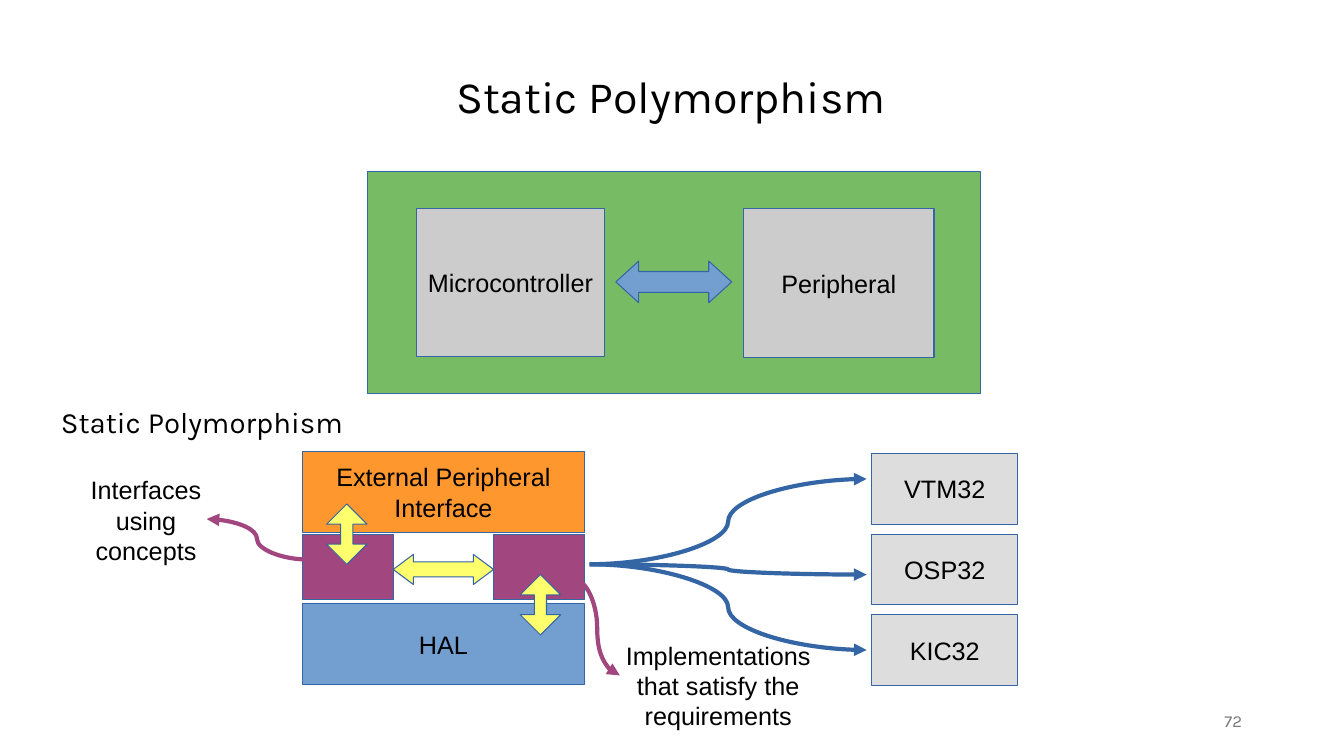
import pptx
import pptx.dml.color
import pptx.enum.shapes
import pptx.enum.text
import pptx.oxml
import pptx.oxml.ns
import pptx.util

Cm, Pt = pptx.util.Cm, pptx.util.Pt
SHAPE = pptx.enum.shapes.MSO_SHAPE
ALIGN = pptx.enum.text.PP_ALIGN
MIDDLE = pptx.enum.text.MSO_ANCHOR.MIDDLE
OUTLINE, PURPLE, YELLOW, BLUE = "3465A4", "A1467E", "FFFF6D", "729FCF"


def rgb(value):
    return pptx.dml.color.RGBColor.from_string(value)


def write(shape, text, size=18, font="Arial", color="000000", align=ALIGN.CENTER, spacing=None):
    tf = shape.text_frame
    tf.word_wrap = True
    p = tf.paragraphs[0]
    p.alignment = align
    p.line_spacing = spacing
    r = p.add_run()
    r.text = text
    for name, value in {"size": Pt(size), "name": font}.items():
        setattr(r.font, name, value)
    r.font.color.rgb = rgb(color)


def add_label(s, box, text, **style):
    label = s.shapes.add_textbox(*map(Cm, box))
    write(label, text, **style)
    return label


def add_block(s, box, fill, text="", kind=SHAPE.RECTANGLE):
    block = s.shapes.add_shape(kind, *map(Cm, box))
    block.shadow.inherit = False
    block.fill.solid()
    block.fill.fore_color.rgb = rgb(fill)
    block.line.color.rgb = rgb(OUTLINE)
    block.line.width = Pt(0)
    if text:
        block.text_frame.vertical_anchor = MIDDLE
        write(block, text)
    return block


def add_double_arrow(s, box, fill, head):
    """Add a two-headed arrow along the longer side; head is relative to the shorter one."""
    kind = SHAPE.LEFT_RIGHT_ARROW if box[2] > box[3] else SHAPE.UP_DOWN_ARROW
    arrow = add_block(s, box, fill, kind=kind)
    arrow.adjustments[0] = 0.5
    arrow.adjustments[1] = head


def add_curve(s, start, end, color):
    curve = s.shapes.add_connector(
        pptx.enum.shapes.MSO_CONNECTOR.CURVE, *map(Cm, start + end))
    curve.line.color.rgb = rgb(color)
    curve.line.width = Pt(3)
    tail = pptx.oxml.parse_xml(
        f'<a:tailEnd {pptx.oxml.ns.nsdecls("a")} type="triangle"/>')
    curve.line._get_or_add_ln().append(tail)
    curve._element.spPr.append(
        pptx.oxml.parse_xml(f'<a:effectLst {pptx.oxml.ns.nsdecls("a")}/>'))


def draw_board(s, x, y, w, h):
    add_block(s, (x, y, w, h), "77BC65")
    add_block(s, (x + 1.22, y + 0.94, 4.75, 3.73), "CCCCCC", "Microcontroller")
    add_block(s, (x + 9.47, y + 0.94, 4.8, 3.76), "CCCCCC", "Peripheral")
    add_double_arrow(s, (x + 6.25, y + 2.26, 2.92, 1.05), BLUE, 0.55)


def draw_stack(s, x, y, w, h):
    """Draw the two software layers with the interface blocks between them."""
    layer_h, block_w, block_h = 2.03, 2.29, 1.65
    for left in (x, x + w - block_w):
        add_block(s, (left, y + 2.08, block_w, block_h), PURPLE)
    add_block(s, (x, y + h - layer_h, w, layer_h), BLUE, "HAL")
    add_block(s, (x, y, w, layer_h), "FF972F", "External Peripheral Interface")
    for dx, dy in ((0.61, 1.32), (5.49, 3.1)):
        add_double_arrow(s, (x + dx, y + dy, 1.02, 1.52), YELLOW, 0.3)
    add_double_arrow(s, (x + block_w, y + 2.59, w - 2 * block_w, 0.76), YELLOW, 0.67)


def draw_targets(s, x, y, w, h):
    """Draw the column of chips and the curves that lead to them."""
    chips = (("VTM32", 0.64), ("OSP32", 3.05), ("KIC32", 4.95))
    chip_h = 1.78
    pitch = (h - chip_h) / (len(chips) - 1)
    for i, (chip, curve_dy) in enumerate(chips):
        add_block(s, (x, y + i * pitch, w, chip_h), "DDDDDD", chip)
        add_curve(s, (x - 7.11, y + 2.79), (x - 0.13, y + curve_dy), OUTLINE)


def draw_notes(s):
    add_label(s, (2.03, 11.84, 3.3, 2.39), "Interfaces using concepts")
    add_curve(s, (7.75, 14.1), (5.21, 13.08), PURPLE)
    add_label(s, (15.37, 16, 5.46, 2.54), "Implementations that satisfy the requirements")
    add_curve(s, (14.48, 14.6), (15.62, 17.02), PURPLE)


def draw_headings(s):
    for box, size in (((5.36, 1.75, 23.11, 2.82), 32), ((1.04, 10.16, 8.1, 1.02), 21)):
        add_label(s, box, "Static Polymorphism", size=size, font="Karla", spacing=0.9)
    number = add_label(s, (23.93, 17.65, 7.62, 1.02), "72", size=12, font="Karla",
                       color="787878", align=ALIGN.RIGHT)
    number.text_frame.vertical_anchor = MIDDLE


def main():
    prs = pptx.Presentation()
    prs.slide_width, prs.slide_height = Cm(33.87), Cm(19.05)
    s = prs.slides.add_slide(prs.slide_layouts[6])
    draw_headings(s)
    draw_board(s, 9.27, 4.32, 15.44, 5.59)
    draw_stack(s, 7.62, 11.38, 7.11, 5.87)
    draw_targets(s, 21.97, 11.43, 3.68, 5.84)
    draw_notes(s)
    prs.save("out.pptx")


if __name__ == "__main__":
    main()
